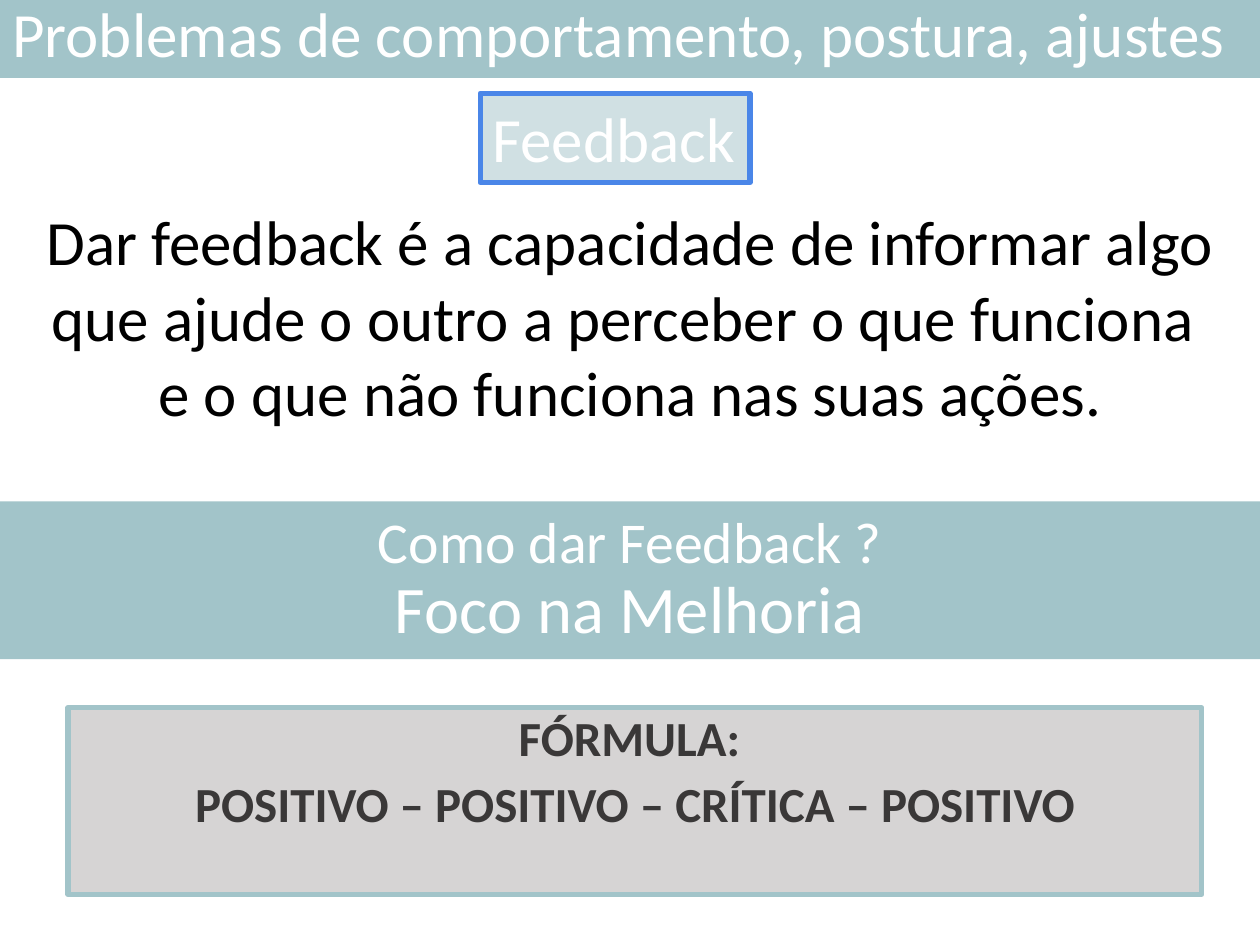
from lxml.etree import SubElement
from pptx import Presentation
from pptx.dml.color import RGBColor
from pptx.enum.shapes import MSO_SHAPE
from pptx.enum.text import MSO_ANCHOR, PP_ALIGN
from pptx.oxml.ns import qn
from pptx.util import Cm, Pt

TEAL = RGBColor(0xA2, 0xC4, 0xC9)
PALE = RGBColor(0xD0, 0xE0, 0xE3)
BLUE = RGBColor(0x4A, 0x86, 0xE8)
GRAY = RGBColor(0xD0, 0xCE, 0xCE)
DARK = RGBColor(0x3A, 0x38, 0x38)
WHITE = RGBColor(0xFF, 0xFF, 0xFF)
BLACK = RGBColor(0, 0, 0)
LEFT, MID = PP_ALIGN.LEFT, PP_ALIGN.CENTER
WIDE = 25.4

deck = Presentation()
deck.slide_width, deck.slide_height = Cm(WIDE), Cm(19.05)
slide = deck.slides.add_slide(deck.slide_layouts[6])


def add_box(left, top, width, height, fill, line=None):
    box = slide.shapes.add_shape(
        MSO_SHAPE.RECTANGLE, Cm(left), Cm(top), Cm(width), Cm(height))
    box.shadow.inherit = False
    box.fill.solid()
    box.fill.fore_color.rgb = fill
    if line is None:
        box.line.fill.background()
    else:
        box.line.color.rgb = line
        box.line.width = Pt(3)
    return box


def set_text(box, text, size, color, align=MID, anchor=MSO_ANCHOR.TOP):
    frame = box.text_frame
    frame.text = text
    frame.word_wrap = True
    frame.vertical_anchor = anchor
    for para in frame.paragraphs:
        para.alignment = align
        for run in para.runs:
            run.font.name = "Calibri"
            run.font.size = Pt(size)
            run.font.color.rgb = color
    return frame.paragraphs


title = add_box(0, -0.23, WIDE, 1.8, TEAL)
set_text(title, "Problemas de comportamento, postura, ajustes", 36, WHITE, LEFT)

label = add_box(9.68, 1.88, 5.44, 1.8, PALE, BLUE)
set_text(label, "Feedback", 36, WHITE, LEFT)

body = slide.shapes.add_textbox(0, Cm(3.96), Cm(WIDE), Cm(5.84))
set_text(
    body,
    "Dar feedback é a capacidade de informar algo que ajude o outro "
    "a perceber o que funciona \n"
    "e o que não funciona nas suas ações.",
    36, BLACK)

band = add_box(0, 10.11, WIDE, 3.18, TEAL)
para = set_text(band, "Como dar Feedback ?\vFoco na Melhoria", 33, WHITE,
                anchor=MSO_ANCHOR.MIDDLE)[0]
para.line_spacing = 0.9
para.runs[1].font.size = Pt(38)

rule = add_box(1.37, 14.27, 22.86, 3.76, GRAY, TEAL)
tint = rule.fill._xPr.find(qn("a:solidFill"))[0]
SubElement(tint, qn("a:alpha")).set("val", "86000")
paras = set_text(
    rule, "FÓRMULA: \nPOSITIVO – POSITIVO – CRÍTICA – POSITIVO", 28, DARK)
for para in paras:
    para.line_spacing = 0.9
    props = para._p.get_or_add_pPr()
    props.set("marL", str(Cm(0.48)))
    props.set("indent", str(Cm(-0.48)))
    for run in para.runs:
        run.font.bold = True
paras[1].space_before = Pt(7.5)

deck.save("out.pptx")
